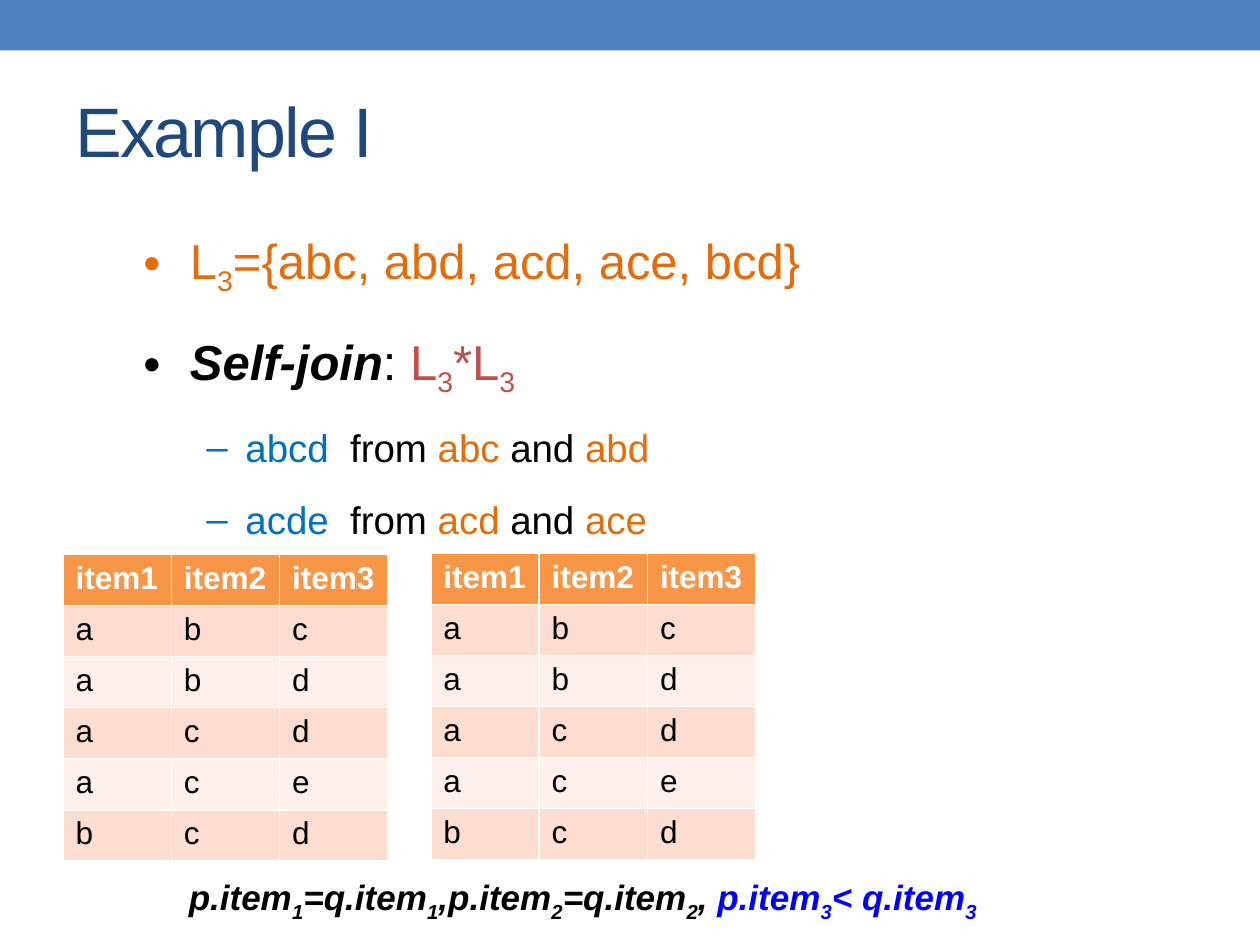
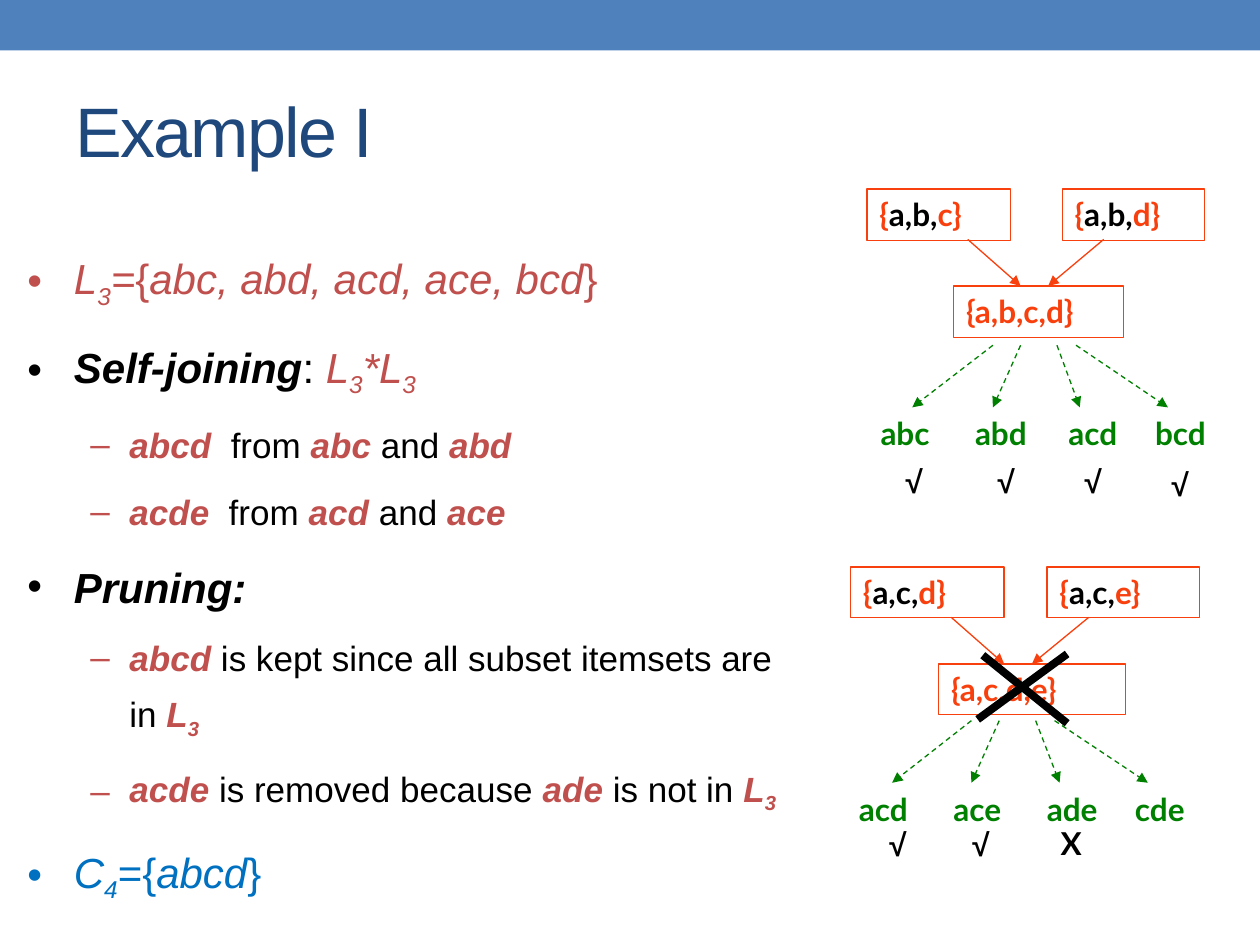
from lxml import etree
from pptx import Presentation
from pptx.dml.color import RGBColor
from pptx.enum.dml import MSO_LINE
from pptx.enum.shapes import MSO_CONNECTOR, MSO_SHAPE
from pptx.enum.text import MSO_ANCHOR, PP_ALIGN
from pptx.oxml.ns import qn
from pptx.util import Pt

RECTANGLE = MSO_SHAPE.RECTANGLE
STRAIGHT = MSO_CONNECTOR.STRAIGHT
DASH = MSO_LINE.DASH
TOP = MSO_ANCHOR.TOP
LEFT = PP_ALIGN.LEFT

COLORS = {
    "band": "4F81BD", "title": "1F497D", "black": "000000", "white": "FFFFFF",
    "orange": "E46C0A", "red": "C0504D", "blue": "0070C0", "bright": "0000FF",
    "node": "F8400E", "leaf": "008000",
    "header": "F79646", "odd row": "FCDDCF", "even row": "FDEFE9",
}
# Each text style is a colour, bold and italic.
STYLES = {
    "title": ("title", False, False),
    "plain": ("black", False, False),
    "bold": ("black", True, False),
    "term": ("black", True, True),
    "orange": ("orange", False, False),
    "red": ("red", False, False),
    "red italic": ("red", False, True),
    "red term": ("red", True, True),
    "blue": ("blue", False, False),
    "blue italic": ("blue", False, True),
    "condition": ("bright", True, True),
    "header": ("white", True, False),
    "node": ("node", True, False),
    "leaf": ("leaf", True, False),
}


def write(paragraph, runs, size, font="Arial"):
    """Add (text, style) runs; the character after an underscore is a subscript."""
    paragraph.alignment = LEFT
    for text, style in runs:
        first, *rest = text.split("_")
        pieces = [(first, False)]
        for piece in rest:
            pieces += [(piece[0], True), (piece[1:], False)]
        color, bold, italic = STYLES[style]
        for piece, subscript in pieces:
            if not piece:
                continue
            run = paragraph.add_run()
            run.text = piece
            run.font.name, run.font.size = font, Pt(size)
            run.font.bold, run.font.italic = bold, italic
            run.font.color.rgb = RGBColor.from_string(COLORS[color])
            if subscript:
                run.font._element.set("baseline", "-25000")


def add_line(slide, start, end, color, width=0.75, arrow=True, dashed=False):
    line = slide.shapes.add_connector(STRAIGHT, *map(Pt, start + end))
    line.line.color.rgb = RGBColor.from_string(COLORS[color])
    line.line.width = Pt(width)
    if dashed:
        line.line.dash_style = DASH
    if arrow:
        etree.SubElement(line.line._get_or_add_ln(), qn("a:tailEnd"), type="triangle")
    etree.SubElement(line._element.spPr, qn("a:effectLst"))


prs = Presentation()
prs.slide_width, prs.slide_height = Pt(720), Pt(540)

# Body texts: box, sizes of the two levels, and (level, runs) for each paragraph
bodies = [
    ((74.9, 116.6, 527.8, 396), (28, 22), [
        (0, [("L_3={abc, abd, acd, ace, bcd}", "orange")]),
        (0, [("Self-join", "term"), (": ", "plain"), ("L_3*L_3", "red")]),
        (1, [("abcd  ", "blue"), ("from ", "plain"), ("abc ", "orange"),
             ("and ", "plain"), ("abd", "orange")]),
        (1, [("acde  ", "blue"), ("from ", "plain"), ("acd ", "orange"),
             ("and ", "plain"), ("ace", "orange")]),
    ]),
    ((8.6, 131, 453.6, 402.5), (24, 20), [
        (0, [("L_3=", "red italic"), ("{", "red"),
             ("abc, abd, acd, ace, bcd", "red italic"), ("}", "red")]),
        (0, [("Self-joining", "term"), (": ", "plain"), ("L_3*L_3", "red italic")]),
        (1, [("abcd  ", "red term"), ("from ", "plain"), ("abc ", "red term"),
             ("and ", "plain"), ("abd", "red term")]),
        (1, [("acde", "red term"), ("  from ", "plain"), ("acd", "red term"),
             (" and ", "plain"), ("ace", "red term")]),
        (0, [("Pruning:", "term")]),
        (1, [("abcd ", "red term"),
             ("is kept since all subset itemsets are in ", "plain"),
             ("L_3", "red term")]),
        (1, [("acde", "red term"), (" is removed because ", "plain"),
             ("ade", "red term"), (" is not in ", "plain"), ("L_3", "red term")]),
        (0, [("C_4", "blue italic"), ("={", "blue"), ("abcd", "blue italic"),
             ("}", "blue")]),
    ]),
]
# Bullet, left margin, hanging indent and space before of each level
LEVELS = [("•", 26.6, -26.6, 8), ("–", 58.3, -22.3, 7)]

for box, sizes, paragraphs in bodies:
    slide = prs.slides.add_slide(prs.slide_layouts[5])
    title = slide.shapes.title
    title.left, title.top, title.width, title.height = map(Pt, (36, 41.8, 648, 77.8))
    title.text_frame.vertical_anchor = TOP
    title.text_frame.margin_top = Pt(8)
    write(title.text_frame.paragraphs[0], [("Example I", "title")], 40)
    title.text_frame.paragraphs[0].runs[0].font._element.set("spc", "-100")

    frame = slide.shapes.add_textbox(*map(Pt, box)).text_frame
    frame.word_wrap = True
    for number, (level, runs) in enumerate(paragraphs):
        paragraph = frame.add_paragraph() if number else frame.paragraphs[0]
        bullet, margin, indent, space = LEVELS[level]
        paragraph.level = level
        paragraph.line_spacing = 1.3
        paragraph.space_before = Pt(space)
        write(paragraph, runs, sizes[level])
        properties = paragraph._p.get_or_add_pPr()
        properties.set("marL", str(Pt(margin)))
        properties.set("indent", str(Pt(indent)))
        etree.SubElement(properties, qn("a:buFont"), typeface="Arial")
        etree.SubElement(properties, qn("a:buChar"), char=bullet)

join_slide, prune_slide = prs.slides

# The top band belongs to the master
band = join_slide.shapes.add_shape(RECTANGLE, 0, 0, Pt(720), Pt(28.8))
band.shadow.inherit = False
band.fill.solid()
band.fill.fore_color.rgb = RGBColor.from_string(COLORS["band"])
band.line.fill.background()
prs.slide_master.shapes._spTree.insert(2, band._element)

# Slide 1: the two joined tables and the join condition
itemsets = [("item1", "item2", "item3"), "abc", "abd", "acd", "ace", "bcd"]
for left, top in ((36, 316.8), (246.2, 316.1)):
    table = join_slide.shapes.add_table(
        6, 3, Pt(left), Pt(top), Pt(185.7), Pt(175.2)).table
    for r, items in enumerate(itemsets):
        fill = "header" if r == 0 else "odd row" if r % 2 else "even row"
        for c, item in enumerate(items):
            cell = table.cell(r, c)
            cell.fill.solid()
            cell.fill.fore_color.rgb = RGBColor.from_string(COLORS[fill])
            write(cell.text_frame.paragraphs[0],
                  [(item, "plain" if r else "header")], 18)

condition = join_slide.shapes.add_textbox(Pt(100.8), Pt(496.8), Pt(476.6), Pt(31.7))
condition.text_frame.word_wrap = True
write(condition.text_frame.paragraphs[0],
      [("p.item_1=q.item_1,p.item_2=q.item_2, ", "term"),
       ("p.item_3< q.item_3", "condition")], 20)

# Slide 2: two parents join into a candidate, whose subsets are checked
trees = [
    {
        "top": 108, "height": 29.4,
        "nodes": [(495.4, 0, 82, "a,b,", "c}"), (607, 0, 81.4, "a,b,", "d}"),
                  (545, 55.4, 97.2, "", "a,b,c,d}")],
        "joins": [(553, 583.2), (630.7, 599)],
        "subset_top": 197.3,
        "subsets": [(567.4, 521.3), (583.2, 567.4), (604, 617), (614.9, 667.4)],
        "leaves": [("abc", 496.1), ("abd", 550.1), ("acd", 603.4), ("bcd", 653)],
        "marks": [("√", 510.5, 260.6), ("√", 563, 260.6), ("√", 612.7, 260.6),
                  ("√", 662.4, 262.1)],
    },
    {
        "top": 324, "height": 28.8,
        "nodes": [(486, 0, 87.8, "a,c,", "d}"), (598.3, 0, 87.1, "a,c,", "e}"),
                  (536.4, 55.4, 106.6, "", "a,c,d,e}")],
        "joins": [(543.6, 573.8), (622.1, 589.7)],
        "subset_top": 411.8,
        "subsets": [(555.1, 509.8), (571, 555.1), (591.8, 605.5), (602.6, 655.9)],
        "leaves": [("acd", 483.8), ("ace", 537.8), ("ade", 591.1), ("cde", 641.5)],
        "marks": [("√", 501.1, 468), ("√", 548.6, 468), ("X", 599, 467.3)],
    },
]

for tree in trees:
    top, subset_top = tree["top"], tree["subset_top"]
    for left, drop, width, shared, last in tree["nodes"]:
        node = prune_slide.shapes.add_shape(
            RECTANGLE, Pt(left), Pt(top + drop), Pt(width), Pt(tree["height"]))
        node.shadow.inherit = False
        node.fill.background()
        node.line.color.rgb = RGBColor.from_string(COLORS["node"])
        node.line.width = Pt(0.75)
        node.text_frame.word_wrap = True
        node.text_frame.vertical_anchor = TOP
        runs = [("{", "node"), (shared, "bold"), (last, "node")]
        write(node.text_frame.paragraphs[0], runs, 18, "Lato")
    for start, end in tree["joins"]:
        add_line(prune_slide, (start, top + 28.8), (end, top + 55.4), "node")
    for start, end in tree["subsets"]:
        add_line(prune_slide, (start, subset_top), (end, subset_top + 35.5),
                 "leaf", dashed=True)

    labels = [(text, left, subset_top + 36, 50.4, "leaf", "Lato")
              for text, left in tree["leaves"]]
    labels += [(text, left, mark_top, 28, "bold", "Lato" if text == "X" else "Arial")
               for text, left, mark_top in tree["marks"]]
    for text, left, label_top, width, style, font in labels:
        label = prune_slide.shapes.add_textbox(
            Pt(left), Pt(label_top), Pt(width), Pt(28.8))
        label.text_frame.word_wrap = True
        write(label.text_frame.paragraphs[0], [(text, style)], 18, font)

# The rejected candidate is crossed out
for start, end in (((558.7, 411.1), (609.8, 373.7)), ((561.6, 374.4), (609.8, 413.3))):
    add_line(prune_slide, start, end, "black", width=4.5, arrow=False)

prs.save("out.pptx")
